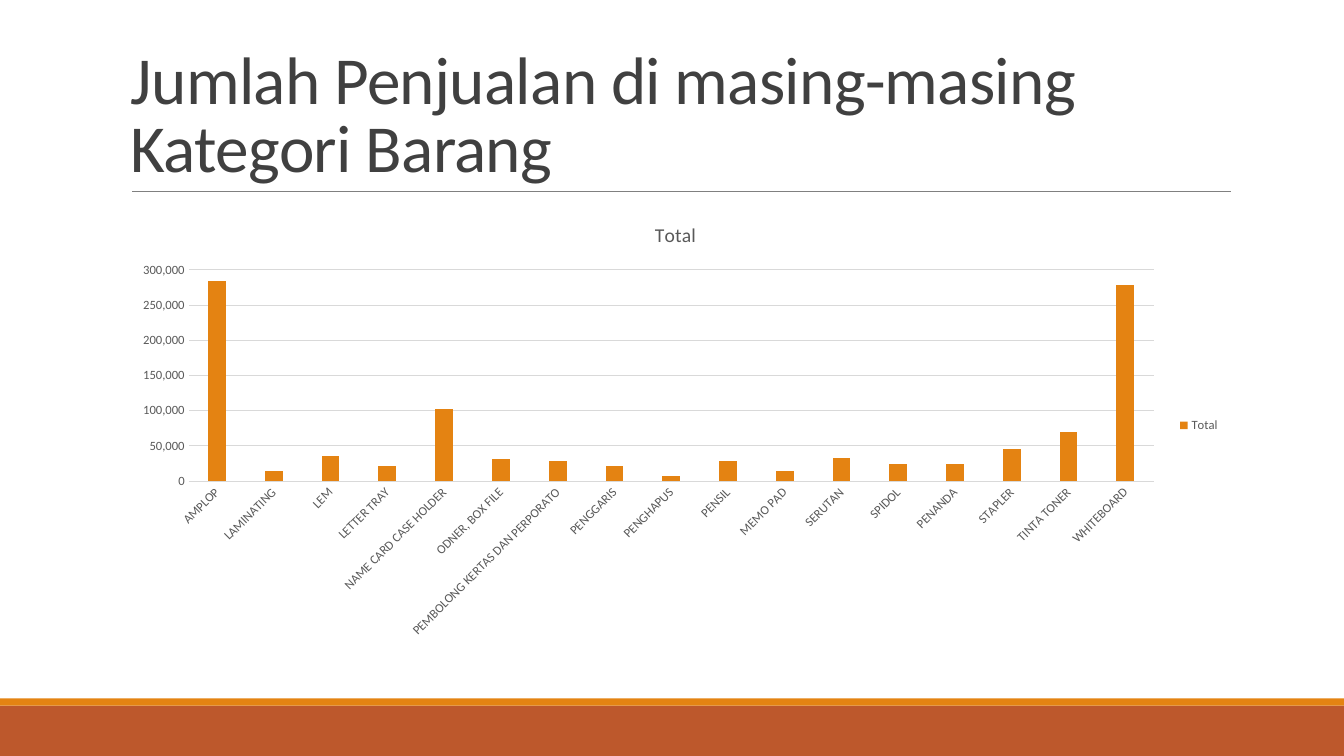
from pptx import Presentation
from pptx.chart.data import CategoryChartData
from pptx.dml.color import RGBColor
from pptx.enum.chart import XL_CHART_TYPE, XL_LEGEND_POSITION, XL_TICK_MARK
from pptx.enum.shapes import MSO_CONNECTOR, MSO_SHAPE
from pptx.enum.text import MSO_ANCHOR
from pptx.oxml.ns import qn
from pptx.util import Inches, Pt
from lxml.etree import SubElement

TITLE = "Jumlah Penjualan di masing-masing Kategori Barang"
NAME = "Total"
SALES = {
    "AMPLOP": 284000,
    "LAMINATING": 14000,
    "LEM": 36000,
    "LETTER TRAY": 21000,
    "NAME CARD CASE HOLDER": 103000,
    "ODNER, BOX FILE": 31000,
    "PEMBOLONG KERTAS DAN PERPORATO": 29000,
    "PENGGARIS": 21000,
    "PENGHAPUS": 7000,
    "PENSIL": 28000,
    "MEMO PAD": 15000,
    "SERUTAN": 33000,
    "SPIDOL": 24000,
    "PENANDA": 25000,
    "STAPLER": 45000,
    "TINTA TONER": 70000,
    "WHITEBOARD": 278000,
}
BANDS = [(7, 0.5, "BD582C"), (6.93, 0.07, "E48312")]
WIDTH, LEFT, SPAN = 13.33, 1.2, 11
FONT, ORANGE, GREY, PALE = "Calibri", "E48312", "595959", "D9D9D9"


def color(code):
    """Turn a hex string into a colour."""
    return RGBColor.from_string(code)


def style(font, size, code):
    """Set face, size and colour of a font."""
    font.name, font.size, font.bold = FONT, Pt(size), False
    font.color.rgb = color(code)


def write(frame, text, size=18, code="404040", leading=1.0, track=0):
    """Fill a text frame with one formatted paragraph."""
    para = frame.paragraphs[0]
    para.line_spacing = leading
    run = para.add_run()
    run.text = text
    style(run.font, size, code)
    run._r.get_or_add_rPr().set("spc", str(int(track * 100)))


def stroke(line, code, width):
    """Set colour and width of a line."""
    line.color.rgb = color(code)
    line.width = Pt(width)


def frame(slide):
    """Draw the bottom bands, the rule and the title."""
    for top, height, code in BANDS:
        band = slide.shapes.add_shape(
            MSO_SHAPE.RECTANGLE, 0, Inches(top), Inches(WIDTH), Inches(height))
        band.shadow.inherit = False
        band.fill.solid()
        band.fill.fore_color.rgb = color(code)
        band.line.fill.background()
    rule = slide.shapes.add_connector(
        MSO_CONNECTOR.STRAIGHT, Inches(1.31), Inches(1.9), Inches(12.21), Inches(1.9))
    stroke(rule.line, "808080", 0.5)
    SubElement(rule._element.spPr, qn("a:effectLst"))
    box = slide.shapes.add_textbox(Inches(LEFT), Inches(0.31), Inches(SPAN), Inches(1.59))
    box.text_frame.word_wrap = True
    box.text_frame.vertical_anchor = MSO_ANCHOR.BOTTOM
    write(box.text_frame, TITLE, size=48, leading=0.85, track=-0.5)


def graph(slide):
    """Add the column chart of sales."""
    data = CategoryChartData(number_format="#,##0")
    data.categories = list(SALES)
    data.add_series(NAME, list(SALES.values()))
    chart = slide.shapes.add_chart(
        XL_CHART_TYPE.COLUMN_CLUSTERED, Inches(LEFT), Inches(2.02),
        Inches(SPAN), Inches(4.4), data).chart
    style(chart.font, 10, "000000")
    chart.has_title = True
    write(chart.chart_title.text_frame, NAME, size=14, code=GREY)
    chart.chart_title.include_in_layout = False
    chart.has_legend = True
    chart.legend.position = XL_LEGEND_POSITION.RIGHT
    chart.legend.include_in_layout = False
    style(chart.legend.font, 9, GREY)

    plot = chart.plots[0]
    plot.gap_width, plot.overlap, plot.vary_by_categories = 219, -27, False
    fill = plot.series[0].format.fill
    fill.solid()
    fill.fore_color.rgb = color(ORANGE)

    cats, vals = chart.category_axis, chart.value_axis
    for axis in (cats, vals):
        axis.major_tick_mark = axis.minor_tick_mark = XL_TICK_MARK.NONE
        style(axis.tick_labels.font, 9, GREY)
    stroke(cats.format.line, PALE, 0.75)
    cats._element.find(qn("c:txPr")).find(qn("a:bodyPr")).set("rot", "-2700000")
    vals.format.line.fill.background()
    vals.has_major_gridlines = True
    stroke(vals.major_gridlines.format.line, PALE, 0.75)
    vals.tick_labels.number_format = "#,##0"
    vals.tick_labels.number_format_is_linked = False


def main():
    """Build and save the slide."""
    deck = Presentation()
    deck.slide_width, deck.slide_height = Inches(WIDTH), Inches(7.5)
    slide = deck.slides.add_slide(deck.slide_layouts[6])
    frame(slide)
    graph(slide)
    deck.save("out.pptx")


if __name__ == "__main__":
    main()
